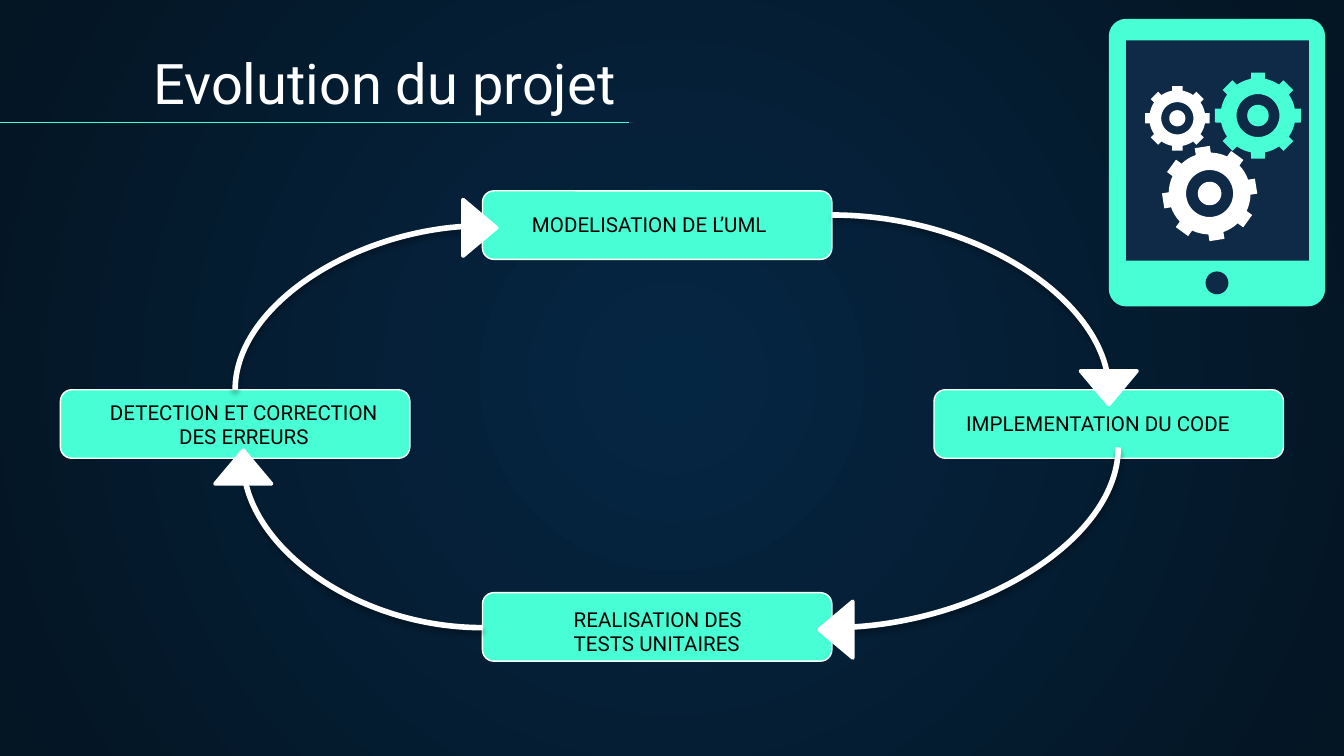
from math import cos, hypot, pi, radians, sin
from lxml.etree import SubElement
from pptx import Presentation
from pptx.dml.color import RGBColor
from pptx.enum.shapes import MSO_CONNECTOR, MSO_SHAPE
from pptx.enum.text import MSO_ANCHOR, PP_ALIGN
from pptx.oxml.ns import qn
from pptx.util import Inches, Pt

MINT = RGBColor(0x48, 0xFF, 0xD5)
NAVY = RGBColor(0x0E, 0x2A, 0x47)
WHITE = RGBColor(0xFF, 0xFF, 0xFF)
BLACK = RGBColor(0, 0, 0)
CENTER_BLUE = RGBColor(0x05, 0x26, 0x43)
EDGE_BLUE = RGBColor(0x04, 0x15, 0x23)
FONT = "Roboto"

TITLE = "Evolution du projet"
STEP_SIZE = (2.6, 0.51)
STEPS = [
    ((3.59, 1.42), ["MODELISATION DE L’UML"], (3.86, 1.64, 2.27, 0.21), PP_ALIGN.LEFT),
    ((6.95, 2.9), ["IMPLEMENTATION DU CODE"], (7.09, 3.02, 2.46, 0.31), PP_ALIGN.LEFT),
    ((3.59, 4.41), ["REALISATION DES", "TESTS UNITAIRES"], (4.17, 4.65, 2.85, 0.33), PP_ALIGN.LEFT),
    ((0.45, 2.9), ["DETECTION ET CORRECTION DES ERREURS"], (0.58, 2.98, 2.47, 0.46), PP_ALIGN.CENTER),
]
ARROWS = [
    ((6.19, 1.6), (8.25, 2.9), 0),
    ((8.32, 3.33), (6.19, 4.67), 90),
    ((3.59, 4.67), (1.81, 3.44), 180),
    ((1.75, 2.9), (3.59, 1.68), 270),
]
ARROWHEAD_SIZE = (0.42, 0.25)
ARROWHEADS = [(8.04, 2.76, 180), (6.01, 4.56, 270), (1.6, 3.35, 0), (3.36, 1.57, 90)]
TABLET = [
    (MSO_SHAPE.ROUNDED_RECTANGLE, (8.25, 0.14, 1.61, 2.14), MINT),
    (MSO_SHAPE.RECTANGLE, (8.38, 0.3, 1.36, 1.64), NAVY),
    (MSO_SHAPE.OVAL, (8.97, 2.02, 0.17, 0.17), NAVY),
]
GEARS = [
    ((9.36, 0.86), 0.32, 0, MINT),
    ((8.76, 0.88), 0.24, 0, WHITE),
    ((9.0, 1.44), 0.35, -9, WHITE),
]
TEETH = 8


def paint(shape, fill, line=None, width=0.75):
    shape.shadow.inherit = False
    shape.fill.solid()
    shape.fill.fore_color.rgb = fill
    if line is None:
        shape.line.fill.background()
    else:
        shape.line.color.rgb = line
        shape.line.width = Pt(width)


def add_shape(kind, box, fill, line=None, width=0.75):
    shape = slide.shapes.add_shape(kind, *map(Inches, box))
    paint(shape, fill, line, width)
    return shape


def write(text_frame, lines, size, color, align=PP_ALIGN.LEFT):
    text_frame.word_wrap = True
    text_frame.vertical_anchor = MSO_ANCHOR.BOTTOM
    text_frame.margin_left = text_frame.margin_right = Inches(0.1)
    text_frame.margin_top = text_frame.margin_bottom = Inches(0.1)
    text_frame.text = "\n".join(lines)
    for paragraph in text_frame.paragraphs:
        paragraph.alignment = align
        paragraph.font.name = FONT
        paragraph.font.size = Pt(size)
        paragraph.font.color.rgb = color


def add_line(kind, start, end, color, width):
    connector = slide.shapes.add_connector(kind, *map(Inches, start + end))
    connector.line.color.rgb = color
    connector.line.width = Pt(width)
    effects = SubElement(connector._element.spPr, qn("a:effectLst"))
    return connector, effects


def add_arrow(start, end, rotation):
    width, height = (abs(b - a) for a, b in zip(start, end))
    if rotation % 180:
        width, height = height, width
    left = (start[0] + end[0] - width) / 2
    top = (start[1] + end[1] - height) / 2
    connector, effects = add_line(
        MSO_CONNECTOR.CURVE, (left, top), (left + width, top + height), WHITE, 3)
    properties = connector._element.spPr
    properties.find(qn("a:prstGeom")).set("prst", "curvedConnector2")
    properties.find(qn("a:xfrm")).set("rot", str(rotation * 60000))
    SubElement(properties.find(qn("a:ln")), qn("a:tailEnd"), type="triangle")
    shadow = SubElement(effects, qn("a:outerShdw"), blurRad="40000", dist="23000",
                        dir="5400000", rotWithShape="0")
    shadow_color = SubElement(shadow, qn("a:srgbClr"), val=str(BLACK))
    SubElement(shadow_color, qn("a:alpha"), val="35000")


def add_gear(center, radius, tilt, color):
    def point(distance, angle):
        return (Inches(center[0] + distance * cos(angle)),
                Inches(center[1] + distance * sin(angle)))

    body, half_tooth = radius * 0.87, radius * 0.16
    base = (body ** 2 - half_tooth ** 2) ** 0.5
    root, tip = half_tooth / base, half_tooth / radius
    pitch = 2 * pi / TEETH
    outline = []
    for tooth in range(TEETH):
        angle = radians(tilt) + tooth * pitch
        outline += [point(body, angle - root),
                    point(hypot(radius, half_tooth), angle - tip),
                    point(hypot(radius, half_tooth), angle + tip)]
        outline += [point(body, angle + root + (pitch - 2 * root) * step / 4) for step in range(4)]
    rings = [[point(radius * share, 2 * pi * step / 48) for step in range(48)]
             for share in (0.5, 0.25)]
    builder = slide.shapes.build_freeform(*outline[0])
    builder.add_line_segments(outline[1:])
    for ring in rings:
        builder.move_to(*ring[0])
        builder.add_line_segments(ring[1:])
    paint(builder.convert_to_shape(), color)


presentation = Presentation()
presentation.slide_width = Inches(10)
presentation.slide_height = presentation.slide_width * 9 // 16
slide = presentation.slides.add_slide(presentation.slide_layouts[5])

background = slide.background.fill
background.gradient()
for stop, color in zip(background.gradient_stops, (CENTER_BLUE, EDGE_BLUE)):
    stop.color.rgb = color
gradient = slide._element.find(".//" + qn("a:gradFill"))
gradient.remove(gradient.find(qn("a:lin")))
circle = SubElement(gradient, qn("a:path"), path="circle")
SubElement(circle, qn("a:fillToRect"), l="50000", t="50000", r="50000", b="50000")

title = slide.shapes.title
title.left, title.top, title.width, title.height = map(Inches, (1.04, 0.3, 8.57, 0.66))
write(title.text_frame, [TITLE], 30, WHITE)
add_line(MSO_CONNECTOR.STRAIGHT, (-0.05, 0.91), (4.68, 0.91), MINT, 0.75)

for kind, box, color in TABLET:
    part = add_shape(kind, box, color)
    if kind == MSO_SHAPE.ROUNDED_RECTANGLE:
        part.adjustments[0] = 0.08
for gear in GEARS:
    add_gear(*gear)

for position, lines, label_box, align in STEPS:
    add_shape(MSO_SHAPE.ROUNDED_RECTANGLE, position + STEP_SIZE, MINT, WHITE)
    label = slide.shapes.add_textbox(*map(Inches, label_box))
    write(label.text_frame, lines, 11, BLACK, align)

for arrow in ARROWS:
    add_arrow(*arrow)
for left, top, rotation in ARROWHEADS:
    arrowhead = add_shape(MSO_SHAPE.ISOSCELES_TRIANGLE, (left, top) + ARROWHEAD_SIZE, WHITE, WHITE, 2)
    arrowhead.rotation = rotation

presentation.save("out.pptx")
